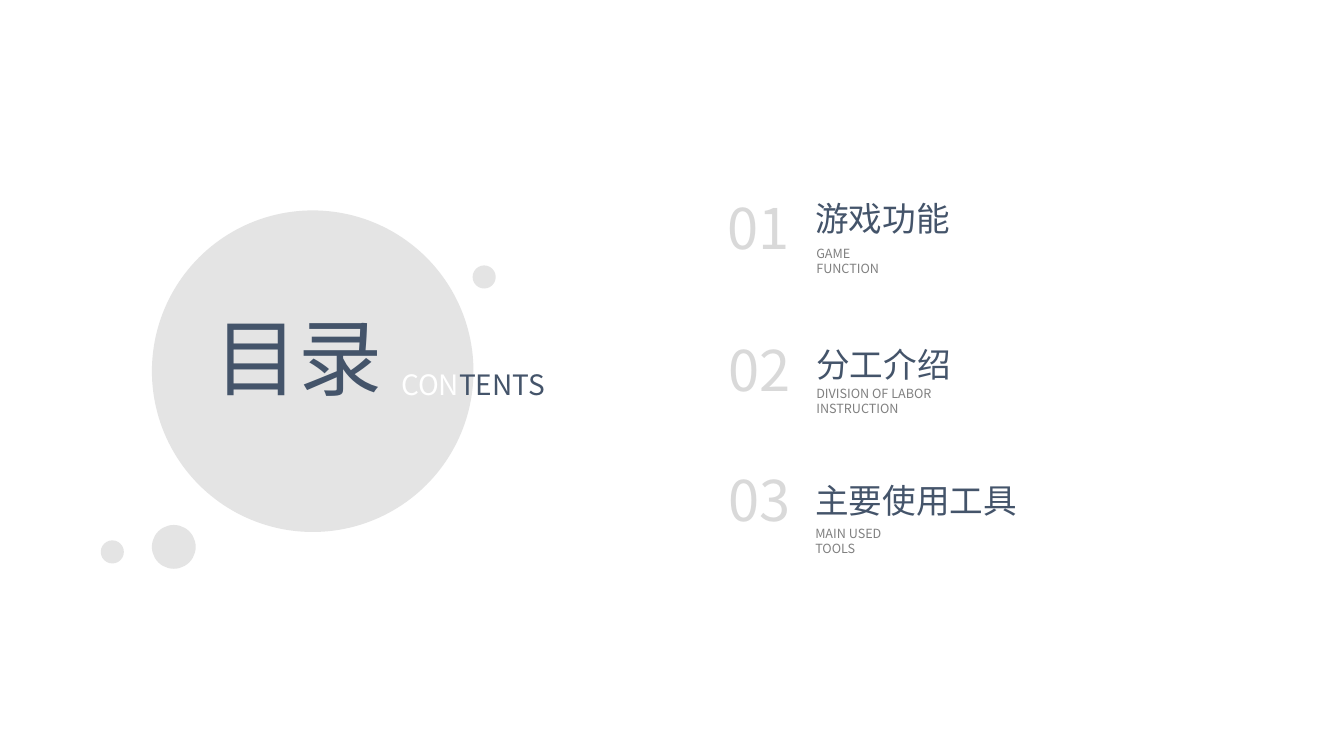
from dataclasses import dataclass
from lxml.etree import SubElement
from pptx import Presentation
from pptx.dml.color import RGBColor
from pptx.enum.shapes import MSO_SHAPE
from pptx.enum.text import MSO_ANCHOR, MSO_AUTO_SIZE, PP_ALIGN
from pptx.oxml.ns import qn
from pptx.util import Pt


@dataclass(frozen=True)
class Theme:
    font: str = "Noto Sans CJK SC"
    navy: str = "44546A"
    silver: str = "D9D9D9"
    grey: str = "808080"
    white: str = "FFFFFF"
    title: int = 60
    number: int = 40
    heading: int = 24
    contents: int = 20
    caption: int = 9


theme = Theme()


def write(box, place, runs, size, align=PP_ALIGN.LEFT):
    box.left, box.top, box.width, box.height = map(Pt, place)
    frame = box.text_frame
    frame.word_wrap = True
    frame.auto_size = MSO_AUTO_SIZE.NONE
    frame.vertical_anchor = MSO_ANCHOR.TOP
    para = frame.paragraphs[0]
    para.alignment = align
    para.font.size = Pt(size)
    para.font.name = theme.font
    for text, color in runs:
        span = para.add_run()
        span.text = text
        span.font.color.rgb = RGBColor.from_string(color)
        east_asian = SubElement(span.font._element, qn("a:ea"))
        east_asian.set("typeface", theme.font)


deck = Presentation()
deck.slide_width, deck.slide_height = Pt(960), Pt(540)
page = deck.slides.add_slide(deck.slide_layouts[5])

bubbles = [(108.5, 150.3, 229.7), (108.5, 375, 31.3), (72, 386, 16.5), (337.6, 189.6, 16.5)]
for left, top, diameter in bubbles:
    bubble = page.shapes.add_shape(
        MSO_SHAPE.FLOWCHART_CONNECTOR, Pt(left), Pt(top), Pt(diameter), Pt(diameter))
    bubble.shadow.inherit = False
    bubble.line.fill.background()
    bubble.fill.solid()
    bubble.fill.fore_color.rgb = RGBColor.from_string(theme.silver)
    color = bubble._element.spPr.find(qn("a:solidFill"))[0]
    SubElement(color, qn("a:alpha")).set("val", "70000")

title = page.shapes.title
page.shapes._spTree.append(title._element)
write(title, (146.2, 214.6, 141.8, 80), [("目录", theme.navy)], theme.title, PP_ALIGN.JUSTIFY)

contents = page.shapes.add_textbox(0, 0, 0, 0)
write(contents, (279.4, 259.2, 141.8, 31.7),
      [("CON", theme.white), ("TENTS", theme.navy)], theme.contents, PP_ALIGN.JUSTIFY)

sections = [
    ("01", 512.6, 134.6, "游戏功能", 575.3, 138.2, 110.2, "GAME FUNCTION", 576, 172.1, 72.7),
    ("02", 513.4, 236.2, "分工介绍", 576, 241.9, 110.2, "DIVISION OF LABOR INSTRUCTION", 576, 272.2, 144.7),
    ("03", 513.4, 329, "主要使用工具", 575.3, 339.1, 158.4, "MAIN USED TOOLS", 575.3, 372.2, 82.1),
]
for (number, number_left, number_top, heading, heading_left, heading_top, heading_width,
     caption, caption_left, caption_top, caption_width) in sections:
    labels = [
        ((number_left, number_top, 61.9, 55.4), number, theme.silver, theme.number),
        ((heading_left, heading_top, heading_width, 36), heading, theme.navy, theme.heading),
        ((caption_left, caption_top, caption_width, 18), caption, theme.grey, theme.caption),
    ]
    for place, text, color, size in labels:
        write(page.shapes.add_textbox(0, 0, 0, 0), place, [(text, color)], size)

deck.save("out.pptx")
